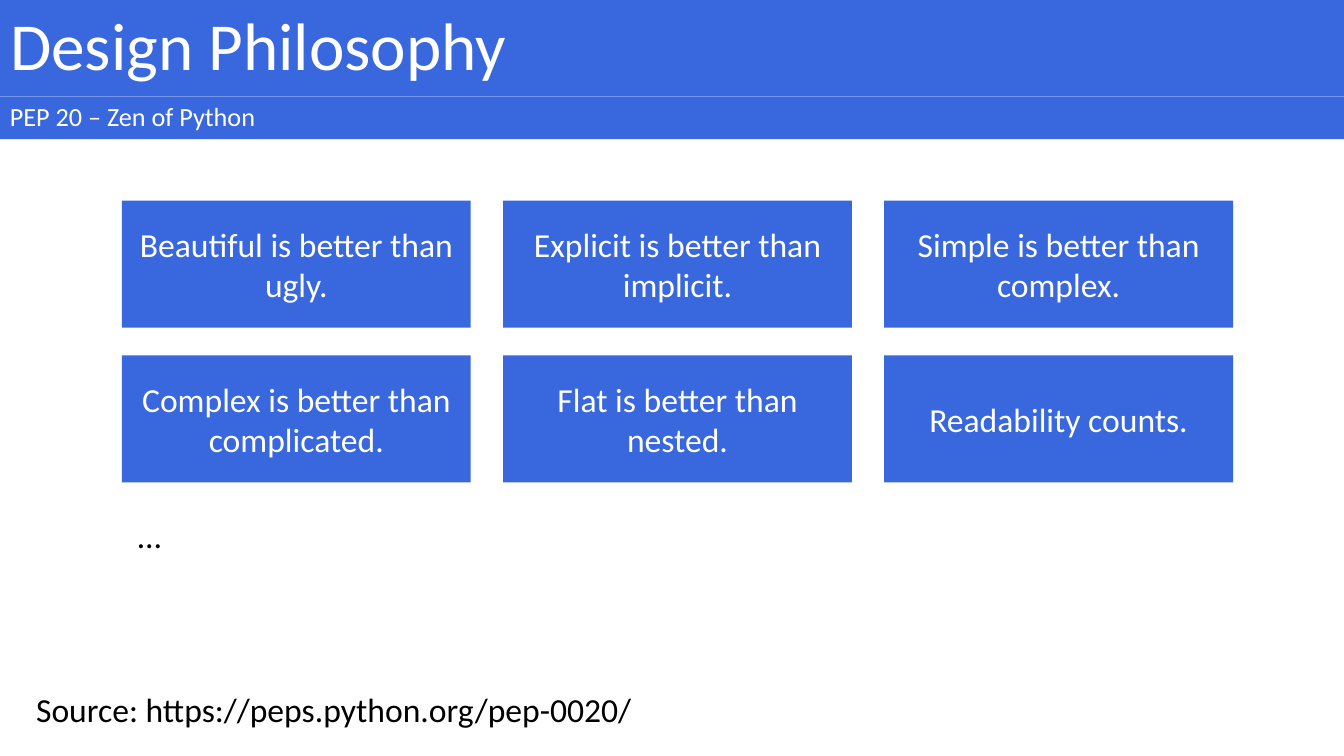
"""Build the Design Philosophy slide: a title band and a grid of principles."""
from dataclasses import dataclass

from pptx import Presentation
from pptx import util as u
from pptx.dml.color import RGBColor
from pptx.enum import shapes, text

TITLE = "Design Philosophy"
SUBTITLE = "PEP 20 – Zen of Python"
PRINCIPLES = [
    ["Beautiful is better than ugly.", "Explicit is better than implicit.", "Simple is better than complex."],
    ["Complex is better than complicated.", "Flat is better than nested.", "Readability counts."],
]
NOTES = [("…", 1.27, 5.06), ("Source: https://peps.python.org/pep-0020/", 0.26, 6.79)]

WIDTH, HEIGHT = 13.33, 7.5
TITLE_HEIGHT, SUBTITLE_HEIGHT = 0.96, 0.42
GRID_LEFT, GRID_TOP = 1.21, 1.99
CARD_WIDTH, CARD_HEIGHT = 3.46, 1.26
COLUMN_STEP, ROW_STEP = 3.78, 1.535
NOTE_WIDTH, NOTE_HEIGHT = 6.8, 0.5


@dataclass(frozen=True)
class Theme:
    """Colours, font and type sizes."""
    font: str = "Calibri"
    blue: RGBColor = RGBColor(0x39, 0x67, 0xDE)
    white: RGBColor = RGBColor(0xFF, 0xFF, 0xFF)
    black: RGBColor = RGBColor(0, 0, 0)
    title: float = 48
    subtitle: float = 18.7
    body: float = 24


THEME = Theme()


def inches(*lengths):
    """Convert lengths to slide units."""
    return [u.Inches(length) for length in lengths]


def write(box, words, size, colour, align=text.PP_ALIGN.LEFT, anchor=text.MSO_ANCHOR.MIDDLE):
    """Write one formatted run in a box and return its paragraph."""
    frame = box.text_frame
    frame.word_wrap = True
    frame.auto_size = text.MSO_AUTO_SIZE.NONE
    frame.vertical_anchor = anchor
    para = frame.paragraphs[0]
    para.alignment = align
    span = para.add_run()
    span.text = words
    span.font.name = THEME.font
    span.font.size = u.Pt(size)
    span.font.color.rgb = colour
    return para


def paint(box):
    """Fill a box with the theme blue."""
    box.fill.solid()
    box.fill.fore_color.rgb = THEME.blue
    box.line.fill.background()


def add_block(page, left, top, width, height):
    """Add a plain blue rectangle."""
    box = page.shapes.add_shape(shapes.MSO_SHAPE.RECTANGLE, *inches(left, top, width, height))
    box.shadow.inherit = False
    paint(box)
    return box


def add_header(page):
    """Place the title and the subtitle band below it."""
    title = page.shapes.title
    title.left, title.top, title.width, title.height = inches(0, 0, WIDTH, TITLE_HEIGHT)
    paint(title)
    band = add_block(page, 0, TITLE_HEIGHT, WIDTH, SUBTITLE_HEIGHT)
    for box, words, size in ((title, TITLE, THEME.title), (band, SUBTITLE, THEME.subtitle)):
        para = write(box, words, size, THEME.white)
        para.line_spacing = 0.9
        para.space_before = u.Pt(10)


def add_principles(page):
    """Lay the principles out on a grid of cards."""
    for row, principles in enumerate(PRINCIPLES):
        for column, words in enumerate(principles):
            card = add_block(page, GRID_LEFT + column * COLUMN_STEP, GRID_TOP + row * ROW_STEP,
                             CARD_WIDTH, CARD_HEIGHT)
            write(card, words, THEME.body, THEME.white, text.PP_ALIGN.CENTER)


def add_notes(page):
    """Add the plain lines below the grid."""
    for words, left, top in NOTES:
        box = page.shapes.add_textbox(*inches(left, top, NOTE_WIDTH, NOTE_HEIGHT))
        write(box, words, THEME.body, THEME.black, anchor=text.MSO_ANCHOR.TOP)


def main():
    """Build and save the deck."""
    deck = Presentation()
    deck.slide_width, deck.slide_height = inches(WIDTH, HEIGHT)
    page = deck.slides.add_slide(deck.slide_layouts.get_by_name("Title Only"))
    add_header(page)
    add_principles(page)
    add_notes(page)
    deck.save("out.pptx")


if __name__ == "__main__":
    main()
